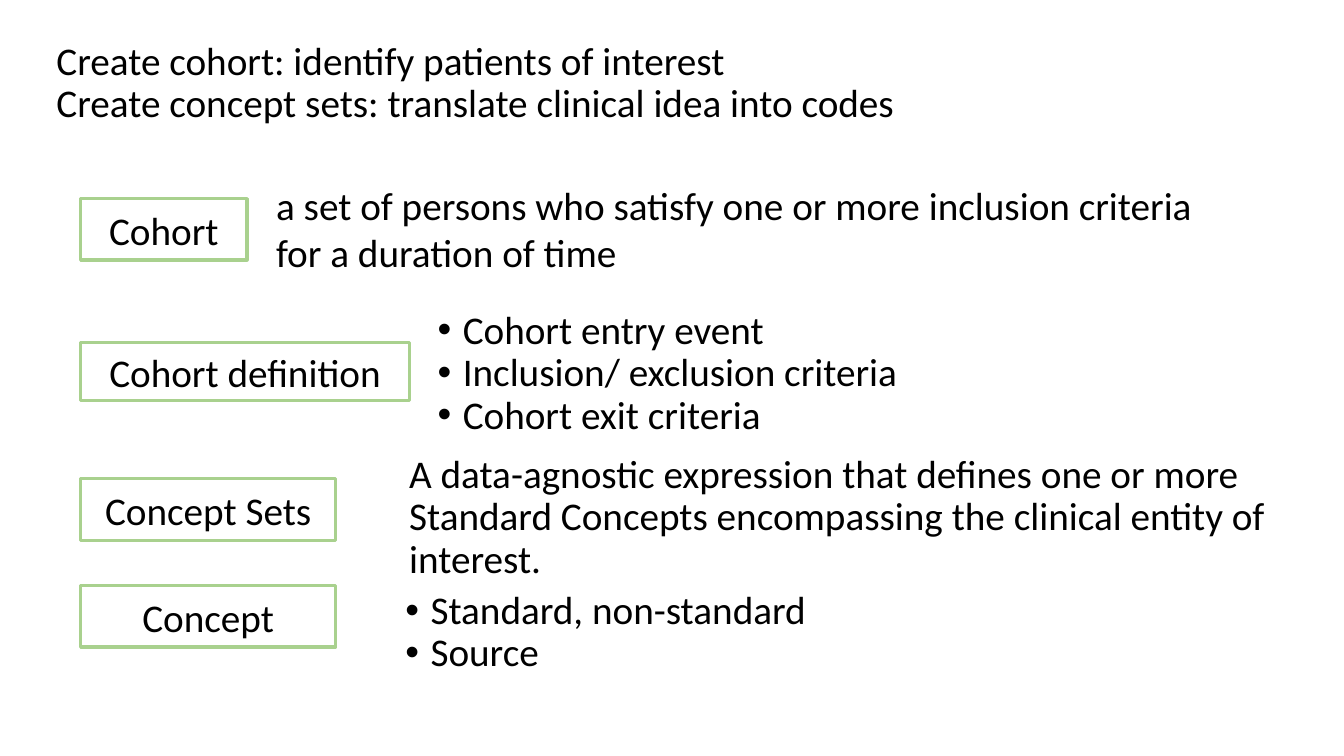
from dataclasses import dataclass

from lxml.etree import SubElement
from pptx import Presentation
from pptx.dml.color import RGBColor
from pptx.enum.shapes import MSO_SHAPE
from pptx.enum.text import MSO_ANCHOR, MSO_AUTO_SIZE, PP_ALIGN
from pptx.oxml.ns import qn
from pptx.util import Pt


@dataclass(frozen=True)
class Theme:
    font: str = "Calibri"
    size: Pt = Pt(28)
    ink: RGBColor = RGBColor(0, 0, 0)
    outline: RGBColor = RGBColor(0xA9, 0xD1, 0x8E)
    outline_width: Pt = Pt(2.25)


THEME = Theme()
PX = 9144  # 100 px to the inch
BULLET_INDENT = 25


def place(shape, left, top, width, height):
    shape.left, shape.top = left * PX, top * PX
    shape.width, shape.height = width * PX, height * PX


def write(shape, text, spacing=1.0, anchor=MSO_ANCHOR.TOP, align=PP_ALIGN.LEFT, bullets=False):
    """Fill a shape with one paragraph per line of text, in the slide's type style."""
    text_frame = shape.text_frame
    text_frame.text = text
    text_frame.word_wrap = True
    text_frame.auto_size = MSO_AUTO_SIZE.NONE
    text_frame.vertical_anchor = anchor
    for paragraph in text_frame.paragraphs:
        paragraph.alignment = align
        paragraph.line_spacing = spacing
        paragraph.space_before = Pt(0)
        if bullets:
            properties = paragraph._p.get_or_add_pPr()
            properties.set("marL", str(BULLET_INDENT * PX))
            properties.set("indent", str(-BULLET_INDENT * PX))
            SubElement(properties, qn("a:buFont"), typeface="Arial")
            SubElement(properties, qn("a:buChar"), char="•")
        for run in paragraph.runs:
            run.font.name = THEME.font
            run.font.size = THEME.size
            run.font.color.rgb = THEME.ink


presentation = Presentation()
presentation.slide_width = 1333 * PX
presentation.slide_height = 750 * PX
slide = presentation.slides.add_slide(presentation.slide_layouts.get_by_name("Two Content"))
title, definition_list, concept_list = list(slide.placeholders)[:3]
for unused in list(slide.placeholders)[3:]:
    unused.element.getparent().remove(unused.element)

place(title, 46, 36, 1150, 128)
write(
    title,
    "Create cohort: identify patients of interest\n"
    "Create concept sets: translate clinical idea into codes",
    spacing=0.9,
)

TERM_LEFT = 80
terms = [
    ("Cohort", 197, 165, 61),
    ("Cohort definition", 340, 326, 57),
    ("Concept Sets", 475, 253, 61),
    ("Concept", 581, 253, 61),
]
for term, top, width, height in terms:
    box = slide.shapes.add_shape(MSO_SHAPE.RECTANGLE, 0, 0, 0, 0)
    place(box, TERM_LEFT, top, width, height)
    box.shadow.inherit = False
    box.fill.background()
    box.line.color.rgb = THEME.outline
    box.line.width = THEME.outline_width
    write(box, term, anchor=MSO_ANCHOR.MIDDLE, align=PP_ALIGN.CENTER)

lists = [
    (definition_list, (424, 303, 549, 57),
     "Cohort entry event\nInclusion/ exclusion criteria\nCohort exit criteria"),
    (concept_list, (392, 581, 549, 57), "Standard, non-standard\nSource"),
]
for placeholder, bounds, items in lists:
    place(placeholder, *bounds)
    write(placeholder, items, spacing=0.9, bullets=True)

explanations = [
    ((264, 175, 941, 104), 1.0,
     "a set of persons who satisfy one or more inclusion criteria for a duration of time"),
    ((396, 446, 917, 91), 0.9,
     "A data-agnostic expression that defines one or more Standard Concepts "
     "encompassing the clinical entity of interest."),
]
for bounds, spacing, text in explanations:
    explanation = slide.shapes.add_textbox(0, 0, 0, 0)
    place(explanation, *bounds)
    write(explanation, text, spacing)

presentation.save("out.pptx")
